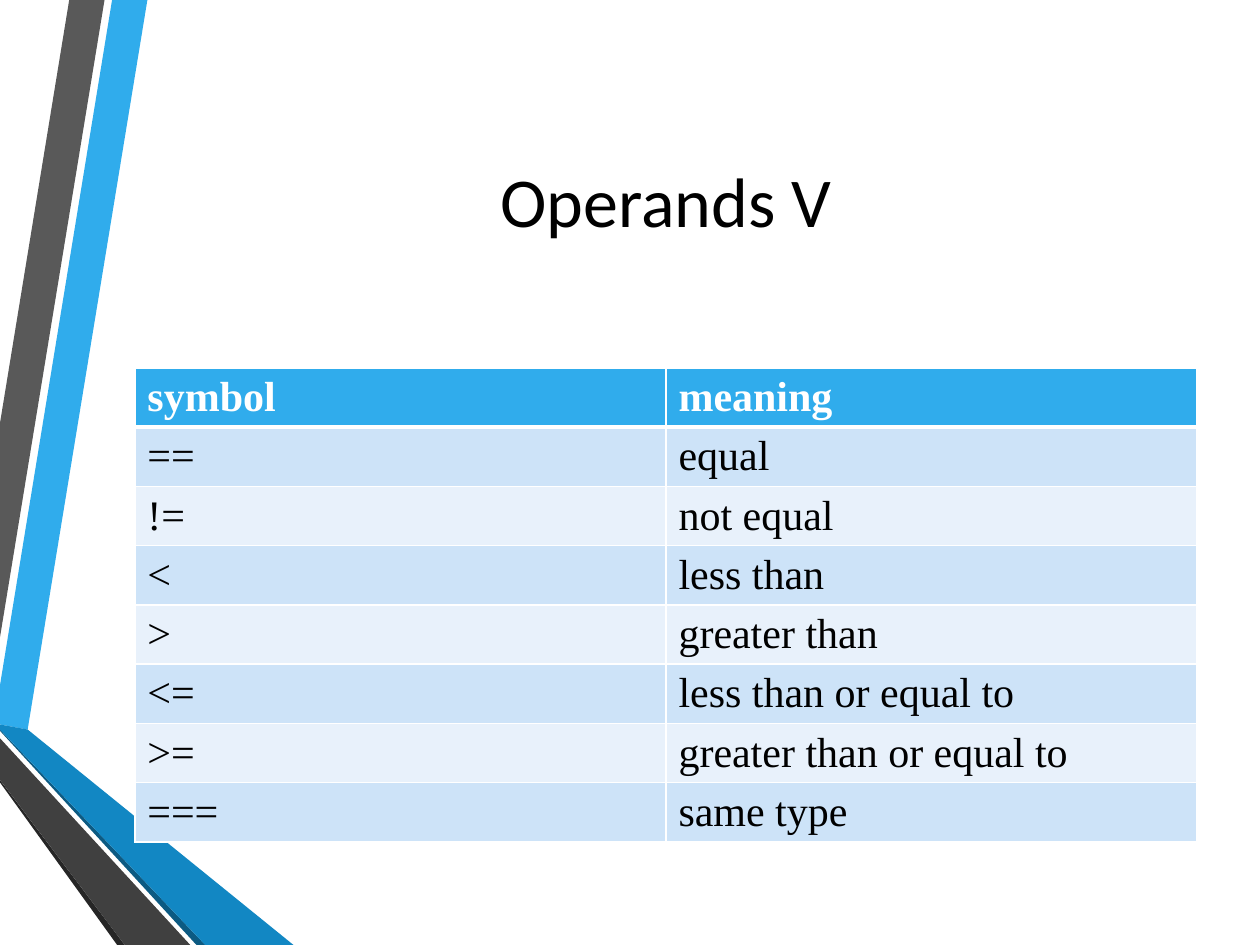
from lxml import etree
from pptx import Presentation
from pptx.dml.color import RGBColor
from pptx.enum.text import MSO_ANCHOR, PP_ALIGN
from pptx.oxml.ns import qn
from pptx.util import Inches, Pt

MIDDLE = MSO_ANCHOR.MIDDLE
CENTER = PP_ALIGN.CENTER

WHITE, BLACK = "FFFFFF", "000000"
BLUE = "30ACEC"
BANDS = ("CDE3F8", "E8F1FB")

# Ribbon outlines in inches, from back to front
RIBBONS = [
    (BLUE, [(0, 5.44), (0, 5.75), (0.22, 5.79), (1.17, 0), (0.89, 0)]),
    ("595959", [(0.83, 0), (0.55, 0), (0, 3.36), (0, 5.06)]),
    ("262626", [(0, 6.19), (0, 6.21), (0.93, 7.5), (0.99, 7.5)]),
    ("0C5A82", [(0, 5.79), (0, 5.8), (1.56, 7.5), (1.63, 7.5)]),
    ("1287C3", [(0, 5.79), (1.63, 7.5), (2.33, 7.5), (0.22, 5.79), (0, 5.75)]),
    ("404040", [(0, 6.19), (0.99, 7.5), (1.51, 7.5), (0, 5.86)]),
]

ROWS = [
    ("symbol", "meaning"),
    ("==", "equal"),
    ("!=", "not equal"),
    ("<", "less than"),
    (">", "greater than"),
    ("<=", "less than or equal to"),
    (">=", "greater than or equal to"),
    ("===", "same type"),
]


def rgb(value):
    return RGBColor.from_string(value)


def write(tf, text, color, **font):
    p = tf.paragraphs[0]
    r = p.add_run()
    r.text = text
    r.font.color.rgb = rgb(color)
    for name, value in font.items():
        setattr(r.font, name, value)
    return p


def add_ribbons(s, left, top):
    for color, points in RIBBONS:
        outline = [(left + Inches(x), top + Inches(y)) for x, y in points]
        builder = s.shapes.build_freeform(*outline[0])
        builder.add_line_segments(outline[1:], close=True)
        sp = builder.convert_to_shape()
        sp.shadow.inherit = False
        sp.fill.solid()
        sp.fill.fore_color.rgb = rgb(color)
        sp.line.fill.background()


def add_title(s, left, top, width, height, text):
    tf = s.shapes.add_textbox(left, top, width, height).text_frame
    tf.word_wrap = True
    tf.vertical_anchor = MIDDLE
    p = write(tf, text, BLACK, name="Calibri", size=Pt(40))
    p.alignment = CENTER


def set_borders(cell, widths):
    """Draw white cell borders; widths maps each side to points."""
    props = cell._tc.get_or_add_tcPr()
    for side, width in widths.items():
        line = etree.SubElement(props, qn(f"a:ln{side}"), w=str(Pt(width)))
        fill = etree.SubElement(line, qn("a:solidFill"))
        etree.SubElement(fill, qn("a:srgbClr"), val=WHITE)


def add_operator_table(s, left, top, width, height):
    table = s.shapes.add_table(len(ROWS), len(ROWS[0]), left, top, width, height).table
    for i, row in enumerate(ROWS):
        header = i == 0
        # The rule below the header is thicker than the others
        widths = {"L": 1, "R": 1, "T": 3 if i == 1 else 1, "B": 3 if header else 1}
        for j, text in enumerate(row):
            cell = table.cell(i, j)
            # Rows grow to fit the text, so the margin sets their pitch
            cell.margin_bottom = Inches(0.02)
            set_borders(cell, widths)
            cell.fill.solid()
            cell.fill.fore_color.rgb = rgb(BLUE if header else BANDS[(i - 1) % 2])
            write(cell.text_frame, text, WHITE if header else BLACK,
                  name="Times New Roman", size=Pt(24), bold=header)


def main():
    prs = Presentation()
    prs.slide_width, prs.slide_height = Inches(10), Inches(7.5)
    s = prs.slides.add_slide(prs.slide_layouts[6])
    left, width = Inches(1.07), Inches(8.43)
    add_ribbons(s, 0, 0)
    add_title(s, left, Inches(0.5), width, Inches(2.17), "Operands V")
    add_operator_table(s, left, Inches(2.92), width, Inches(3.24))
    prs.save("out.pptx")


if __name__ == "__main__":
    main()
